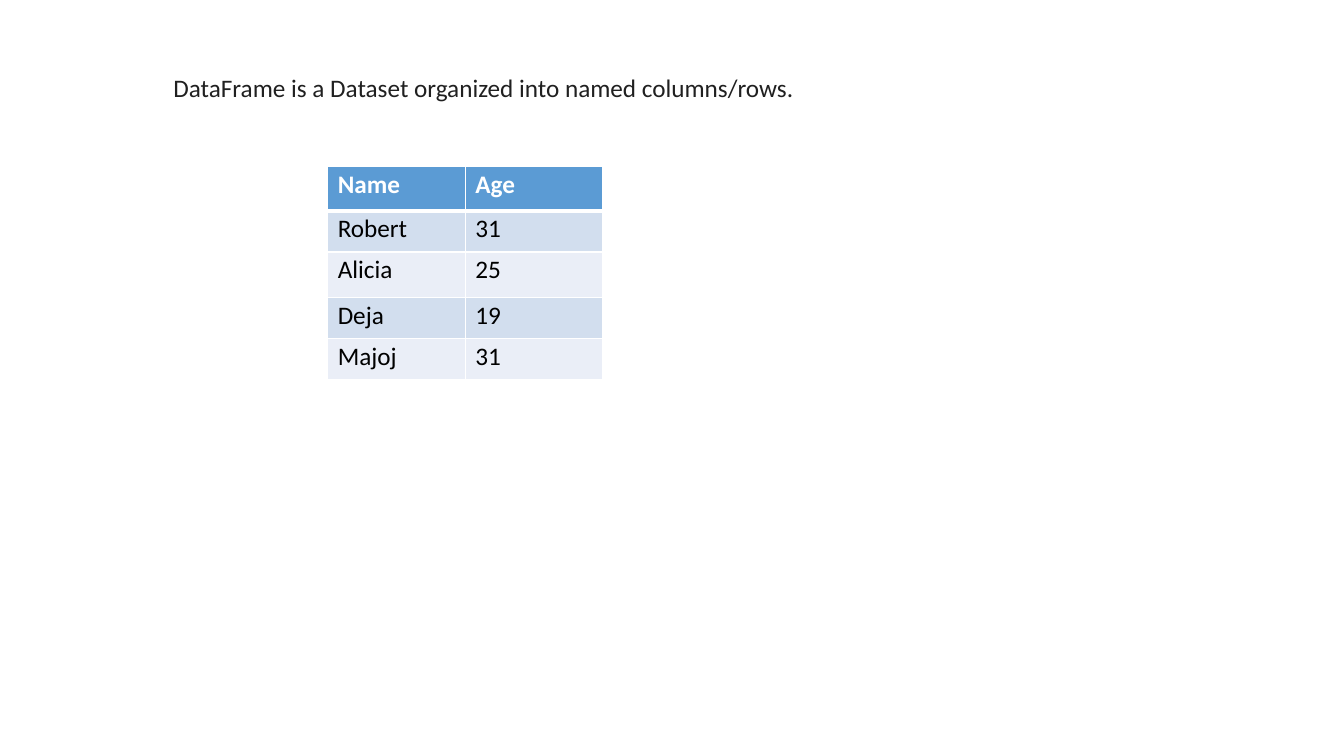
from lxml.etree import SubElement
from pptx import Presentation
from pptx.dml.color import RGBColor
from pptx.enum.text import MSO_ANCHOR, MSO_AUTO_SIZE, PP_ALIGN
from pptx.oxml.ns import qn
from pptx.util import Inches, Pt

INK = RGBColor(0x20, 0x20, 0x20)
BLACK = RGBColor(0x00, 0x00, 0x00)
WHITE = RGBColor(0xFF, 0xFF, 0xFF)
HEADER = RGBColor(0x5B, 0x9B, 0xD4)
BANDS = (RGBColor(0xEA, 0xEE, 0xF7), RGBColor(0xD2, 0xDE, 0xEE))

STATEMENT = "DataFrame is a Dataset organized into named columns/rows."
PEOPLE = [("Name", "Age"), ("Robert", "31"), ("Alicia", "25"),
          ("Deja", "19"), ("Majoj", "31")]
ROW_HEIGHTS = (0.44, 0.41, 0.45, 0.41, 0.41)


def set_font(p, color, bold=False):
    """Apply the slide's text style to a paragraph."""
    p.font.name = "Calibri"
    p.font.size = Pt(18)
    p.font.bold = bold
    p.font.color.rgb = color


def set_borders(cell, **widths):
    """Draw white cell borders with the given widths in points."""
    tcPr = cell._tc.get_or_add_tcPr()
    for side in "LRTB":
        ln = SubElement(tcPr, qn(f"a:ln{side}"), w=str(Pt(widths.get(side, 1))))
        fill = SubElement(ln, qn("a:solidFill"))
        SubElement(fill, qn("a:srgbClr"), val=str(WHITE))


def add_statement(s, left, top, width, height):
    """Place the definition in the title placeholder."""
    sp = s.shapes.title
    sp.left, sp.top, sp.width, sp.height = map(Inches, (left, top, width, height))
    tf = sp.text_frame
    tf.text = STATEMENT
    tf.word_wrap = True
    tf.auto_size = MSO_AUTO_SIZE.NONE
    tf.vertical_anchor = MSO_ANCHOR.TOP
    tf.margin_left = Inches(0.01)
    tf.margin_top = Inches(0.01)
    tf.margin_right = tf.margin_bottom = 0
    p = tf.paragraphs[0]
    p.alignment = PP_ALIGN.LEFT
    set_font(p, INK)


def style_cell(cell, text, row):
    """Fill one cell and format it for its row."""
    is_header = row == 0
    cell.text = text
    cell.margin_left = Inches(0.1)
    cell.margin_top = Inches(0.03)
    cell.margin_right = cell.margin_bottom = 0
    set_borders(cell, T=3 if row == 1 else 1, B=3 if is_header else 1)
    cell.fill.solid()
    cell.fill.fore_color.rgb = HEADER if is_header else BANDS[row % 2]
    set_font(cell.text_frame.paragraphs[0], WHITE if is_header else BLACK, is_header)


def add_people_table(s, left, top, width, height):
    """Add the banded table of names and ages."""
    box = map(Inches, (left, top, width, height))
    table = s.shapes.add_table(len(PEOPLE), len(PEOPLE[0]), *box).table
    for i, (person, row_height) in enumerate(zip(PEOPLE, ROW_HEIGHTS)):
        table.rows[i].height = Inches(row_height)
        for j, text in enumerate(person):
            style_cell(table.cell(i, j), text, i)


def main():
    """Build and save the slide."""
    prs = Presentation()
    prs.slide_width, prs.slide_height = Inches(13.33), Inches(7.5)
    s = prs.slides.add_slide(prs.slide_layouts[5])
    add_statement(s, 1.71, 0.71, 6.19, 0.33)
    add_people_table(s, 3.25, 1.65, 2.73, sum(ROW_HEIGHTS))
    prs.save("out.pptx")


if __name__ == "__main__":
    main()
